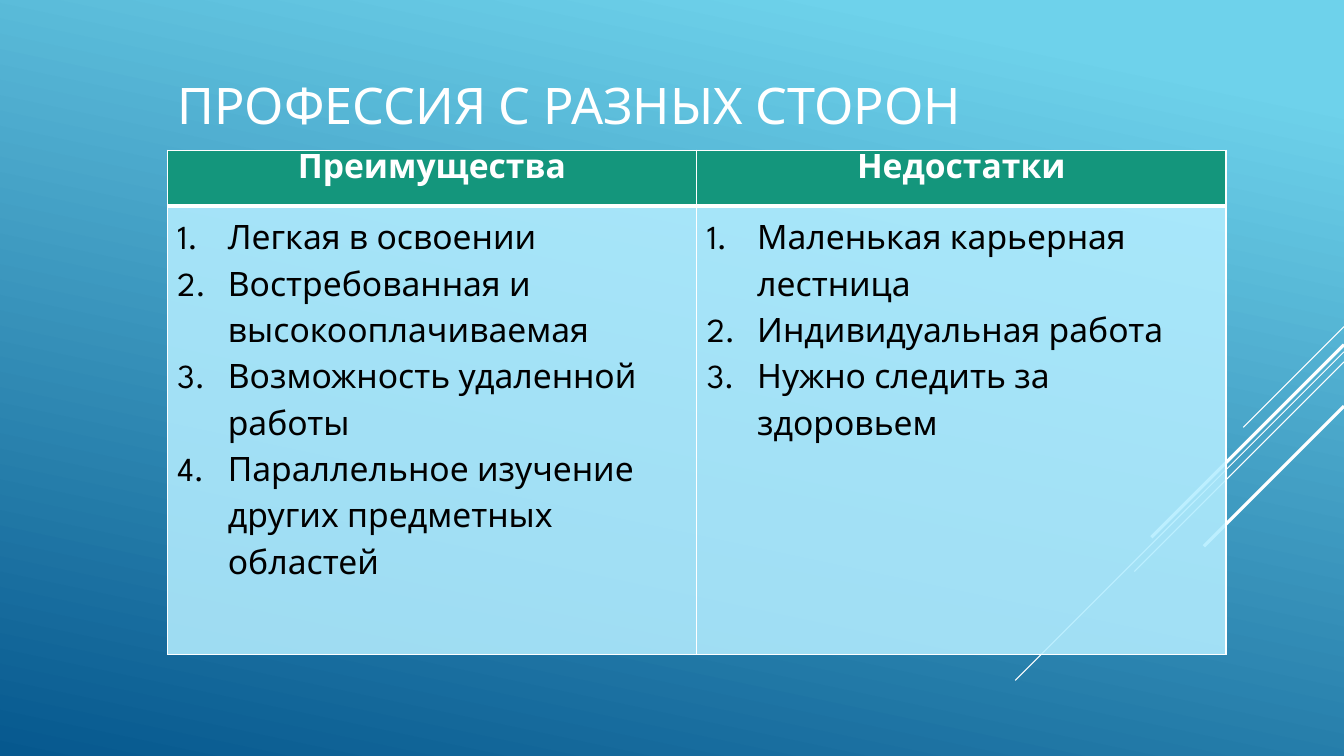
from dataclasses import dataclass

from lxml import etree
from pptx import Presentation
from pptx.dml.color import RGBColor
from pptx.enum.shapes import MSO_CONNECTOR
from pptx.enum.text import MSO_ANCHOR, MSO_AUTO_SIZE, PP_ALIGN
from pptx.oxml.ns import qn
from pptx.util import Inches, Pt

STRAIGHT = MSO_CONNECTOR.STRAIGHT
MIDDLE = MSO_ANCHOR.MIDDLE
NO_FIT = MSO_AUTO_SIZE.NONE
LEFT, CENTER = PP_ALIGN.LEFT, PP_ALIGN.CENTER

WHITE = RGBColor(0xFF, 0xFF, 0xFF)
BLACK = RGBColor(0, 0, 0)
SKY = RGBColor(0x6E, 0xD2, 0xEB)
NAVY = RGBColor(0x06, 0x58, 0x8E)
GREEN = RGBColor(0x14, 0x96, 0x7C)
PALE = RGBColor(0xB3, 0xED, 0xFF)

FONT = "League Spartan"
WIDTH, HEIGHT = 13.33, 7.5
EDGE = 1.66
SPAN = 10.5
TITLE = "ПРОФЕССИЯ С РАЗНЫХ СТОРОН"


@dataclass
class Ray:
    """A 45-degree line falling from the right edge."""
    top: float
    run: float
    weight: float


@dataclass
class Column:
    """A table column with its heading and numbered points."""
    head: str
    points: list[str]


RAYS = [
    Ray(3.24, 1.0, 0.75),
    Ray(3.49, 3.26, 0.75),
    Ray(3.59, 2.08, 0.75),
    Ray(3.42, 1.91, 2.25),
    Ray(4.03, 1.39, 2.25),
]
COLUMNS = [
    Column("Преимущества", [
        "Легкая в освоении",
        "Востребованная и высокооплачиваемая",
        "Возможность удаленной работы",
        "Параллельное изучение других предметных областей",
    ]),
    Column("Недостатки", [
        "Маленькая карьерная лестница",
        "Индивидуальная работа",
        "Нужно следить за здоровьем",
    ]),
]


def paint_back(slide) -> None:
    """Fill the background with the slanted gradient."""
    fill = slide.background.fill
    fill.gradient()
    fill.gradient_angle = 360 - 102
    for stop, place, color in zip(fill.gradient_stops, (0.1, 1), (SKY, NAVY)):
        stop.position = place
        stop.color.rgb = color


def add_ray(slide, ray: Ray) -> None:
    """Draw one diagonal line."""
    line = slide.shapes.add_connector(
        STRAIGHT, Inches(WIDTH), Inches(ray.top),
        Inches(WIDTH - ray.run), Inches(ray.top + ray.run))
    line.line.color.rgb = WHITE
    line.line.width = Pt(ray.weight)
    etree.SubElement(line._element.spPr, qn("a:effectLst"))


def add_run(para, text: str, size: int, color: RGBColor, bold: bool) -> None:
    """Add a formatted run to a paragraph."""
    run = para.add_run()
    run.text = text
    font = run.font
    font.name, font.size, font.bold = FONT, Pt(size), bold
    font.color.rgb = color


def add_title(slide) -> None:
    """Place and format the title."""
    title = slide.shapes.title
    title.left, title.top = Inches(EDGE), Inches(0.68)
    title.width, title.height = Inches(SPAN), Inches(0.71)
    frame = title.text_frame
    frame.word_wrap = True
    frame.auto_size = NO_FIT
    frame.vertical_anchor = MIDDLE
    para = frame.paragraphs[0]
    para.alignment = LEFT
    add_run(para, TITLE, 36, WHITE, False)


def set_cell(cell, color: RGBColor, top: int, base: int, alpha: int = 100) -> None:
    """Give a cell its fill, opacity and white borders."""
    cell.fill.solid()
    cell.fill.fore_color.rgb = color
    props = cell._tc.get_or_add_tcPr()
    if alpha < 100:
        tint = props.find(".//" + qn("a:srgbClr"))
        etree.SubElement(tint, qn("a:alpha"), val=str(alpha * 1000))
    sides = {"lnL": 1, "lnR": 1, "lnT": top, "lnB": base}
    for spot, (side, width) in enumerate(sides.items()):
        line = etree.Element(qn("a:" + side), w=str(Pt(width)))
        solid = etree.SubElement(line, qn("a:solidFill"))
        etree.SubElement(solid, qn("a:srgbClr"), val=str(WHITE))
        props.insert(spot, line)


def add_points(frame, points: list[str]) -> None:
    """Write the numbered list of a cell."""
    for spot, text in enumerate(points):
        para = frame.paragraphs[0] if spot == 0 else frame.add_paragraph()
        para.line_spacing = 1.5
        props = para._p.get_or_add_pPr()
        props.set("marL", str(Inches(0.5)))
        props.set("indent", str(Inches(-0.5)))
        etree.SubElement(props, qn("a:buFont"), typeface=FONT)
        etree.SubElement(props, qn("a:buAutoNum"), type="arabicPeriod")
        add_run(para, text, 24, BLACK, False)


def add_grid(slide) -> None:
    """Build the table of pros and cons."""
    rows = (0.55, 4.45)
    table = slide.shapes.add_table(
        len(rows), len(COLUMNS), Inches(EDGE), Inches(1.49),
        Inches(SPAN), Inches(sum(rows))).table
    table.horz_banding = False
    for row, height in zip(table.rows, rows):
        row.height = Inches(height)
    for spot, column in enumerate(COLUMNS):
        table.columns[spot].width = Inches(SPAN / len(COLUMNS))
        head, body = table.cell(0, spot), table.cell(1, spot)
        set_cell(head, GREEN, 1, 3)
        set_cell(body, PALE, 3, 1, 87)
        para = head.text_frame.paragraphs[0]
        para.alignment = CENTER
        add_run(para, column.head, 24, WHITE, True)
        add_points(body.text_frame, column.points)


def main() -> None:
    """Build and save the slide."""
    deck = Presentation()
    deck.slide_width, deck.slide_height = Inches(WIDTH), Inches(HEIGHT)
    slide = deck.slides.add_slide(deck.slide_layouts[5])
    paint_back(slide)
    for ray in RAYS:
        add_ray(slide, ray)
    add_title(slide)
    add_grid(slide)
    deck.save("out.pptx")


main()
